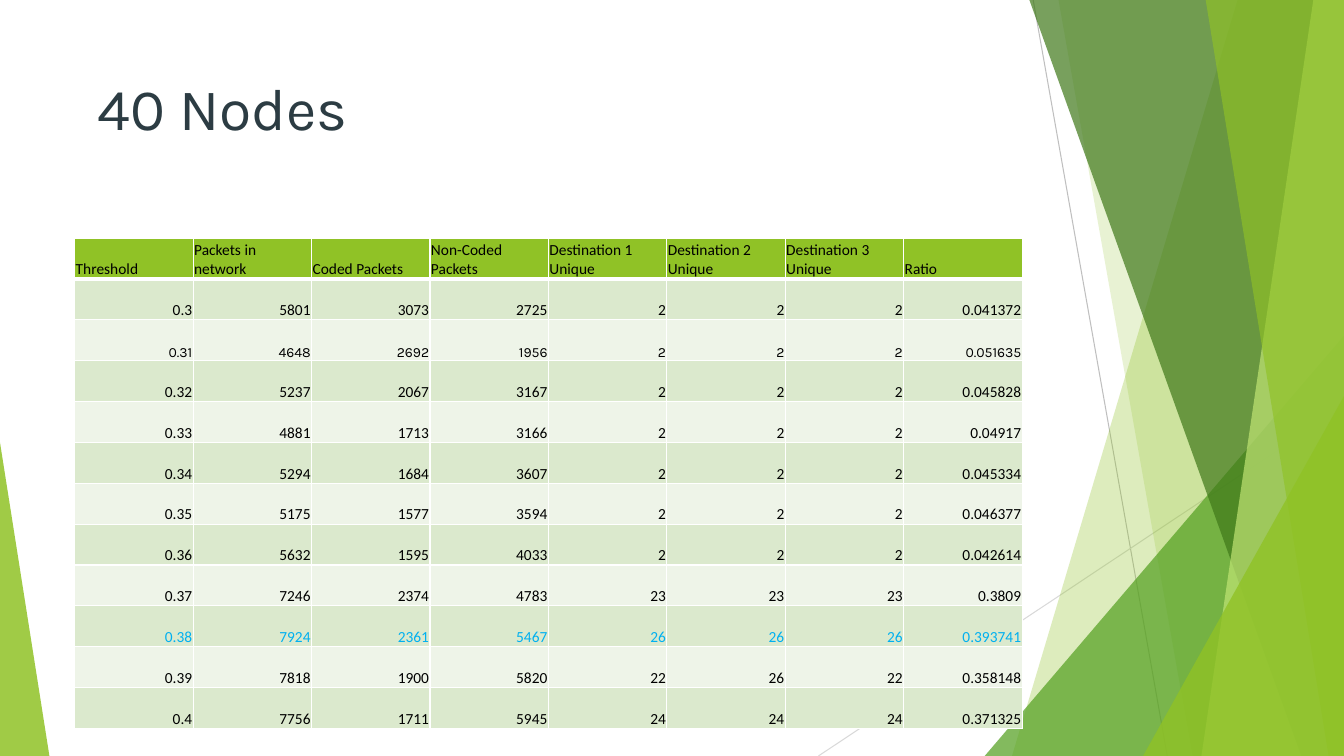
"""Build the "40 Nodes" results slide: a threshold table amid translucent green shards."""
from dataclasses import dataclass

from lxml.etree import SubElement
from pptx import Presentation
from pptx.dml.color import RGBColor
from pptx.enum.shapes import MSO_CONNECTOR as Connector, MSO_SHAPE as Preset
from pptx.enum.text import MSO_ANCHOR as Anchor, MSO_AUTO_SIZE as AutoSize, PP_ALIGN as Align
from pptx.oxml.ns import qn
from pptx.util import Pt

WIDTH, HEIGHT = 960, 540
LIME, WHITE, BLACK, SKY = "90C226", "FFFFFF", "000000", "00B0F0"
BAND_COLOURS = ("EEF4E8", "DBE9CD")
HIGHLIGHT_ROW, KARLA_ROW = 9, 2

HEADINGS = ("Threshold", "Packets in network", "Coded Packets", "Non-Coded Packets",
            "Destination 1 Unique", "Destination 2 Unique", "Destination 3 Unique", "Ratio")
RESULTS = """\
0.3 5801 3073 2725 2 2 2 0.041372
0.31 4648 2692 1956 2 2 2 0.051635
0.32 5237 2067 3167 2 2 2 0.045828
0.33 4881 1713 3166 2 2 2 0.04917
0.34 5294 1684 3607 2 2 2 0.045334
0.35 5175 1577 3594 2 2 2 0.046377
0.36 5632 1595 4033 2 2 2 0.042614
0.37 7246 2374 4783 23 23 23 0.3809
0.38 7924 2361 5467 26 26 26 0.393741
0.39 7818 1900 5820 22 26 22 0.358148
0.4 7756 1711 5945 24 24 24 0.371325"""


@dataclass
class Ray:
    top_x: float
    bottom_x: float
    colour: str
    opacity: int


@dataclass
class Corner:
    left: float
    top: float
    width: float
    apex: float
    colour: str
    opacity: int


@dataclass
class Hairline:
    start: tuple[float, float]
    end: tuple[float, float]
    colour: str


HAIRLINES = (Hairline((738, 0), (833.8, HEIGHT), "BFBFBF"),
             Hairline((WIDTH, 290.2), (584.6, HEIGHT), "D9D9D9"))
SHARDS = (
    Ray(884.2, 722.9, LIME, 30),
    Ray(756, 851.8, LIME, 20),
    Corner(703.4, 239.8, 256.6, 1, "54A021", 72),
    Ray(735.1, 929.5, "3F7819", 70),
    Ray(938.2, 858.2, "C0E474", 70),
    Ray(861.1, 949, LIME, 65),
    Corner(816.5, 283, 143.5, 1, LIME, 80),
    Corner(0, 316.1, 35.3, 0, LIME, 85),
)


def rgb(colour: str) -> RGBColor:
    return RGBColor.from_string(colour)


def draw_hairline(page, line: Hairline) -> None:
    connector = page.shapes.add_connector(
        Connector.STRAIGHT, *map(Pt, line.start), *map(Pt, line.end))
    connector.line.color.rgb = rgb(line.colour)
    connector.line.width = Pt(0.75)
    SubElement(connector.element.spPr, qn("a:effectLst"))


def draw_shard(page, shard: Ray | Corner) -> None:
    if isinstance(shard, Ray):
        builder = page.shapes.build_freeform(Pt(shard.top_x), Pt(-0.6))
        builder.add_line_segments([(Pt(WIDTH), Pt(-0.6)), (Pt(WIDTH), Pt(HEIGHT)),
                                   (Pt(shard.bottom_x), Pt(HEIGHT))], close=True)
        shape = builder.convert_to_shape()
    else:
        shape = page.shapes.add_shape(
            Preset.ISOSCELES_TRIANGLE, Pt(shard.left), Pt(shard.top),
            Pt(shard.width), Pt(HEIGHT - shard.top))
        shape.adjustments[0] = shard.apex
    shape.shadow.inherit = False
    shape.line.fill.background()
    shape.fill.solid()
    shape.fill.fore_color.rgb = rgb(shard.colour)
    colour = shape.element.spPr.find(qn("a:solidFill"))[0]
    SubElement(colour, qn("a:alpha"), val=str(shard.opacity * 1000))


def set_borders(cell, row: int) -> None:
    properties = cell._tc.get_or_add_tcPr()
    widths = {"L": 1, "R": 1, "T": 3 if row == 1 else 1, "B": 3 if row == 0 else 1}
    for side, width in widths.items():
        border = SubElement(properties, qn(f"a:ln{side}"), w=str(Pt(width)))
        fill = SubElement(border, qn("a:solidFill"))
        SubElement(fill, qn("a:srgbClr"), val=WHITE)


def fill_cell(cell, text: str, row: int) -> None:
    set_borders(cell, row)
    cell.fill.solid()
    cell.fill.fore_color.rgb = rgb(BAND_COLOURS[row % 2] if row else LIME)
    cell.margin_left = cell.margin_top = cell.margin_right = Pt(0.7)
    cell.margin_bottom = 0
    cell.vertical_anchor = Anchor.BOTTOM
    cell.text = text
    para = cell.text_frame.paragraphs[0]
    para.alignment = Align.RIGHT if row else Align.LEFT
    para.font.name = "Karla" if row == KARLA_ROW else "Calibri"
    para.font.size = Pt(10 if row == KARLA_ROW else 11)
    para.font.bold = False
    para.font.color.rgb = rgb(SKY if row == HIGHLIGHT_ROW else BLACK)


def draw_table(page) -> None:
    rows = [HEADINGS, *(line.split() for line in RESULTS.splitlines())]
    table = page.shapes.add_table(len(rows), len(HEADINGS), Pt(53.4), Pt(170),
                                  Pt(676.8), Pt(350.4)).table
    table.first_row = table.horz_banding = False
    for row, texts in enumerate(rows):
        for column, text in enumerate(texts):
            fill_cell(table.cell(row, column), text, row)


def place_title(page) -> None:
    title = page.shapes.title
    title.left, title.top, title.width, title.height = map(Pt, (62.6, 47.5, 740.9, 110.2))
    frame = title.text_frame
    frame.text = "40 Nodes"
    frame.word_wrap = True
    frame.auto_size = AutoSize.NONE
    frame.vertical_anchor = Anchor.TOP
    para = frame.paragraphs[0]
    para.alignment = Align.LEFT
    para.font.name = "Karla"
    para.font.size = Pt(42)
    para.font.color.rgb = rgb("2C3C43")
    title.element.getparent().append(title.element)


def main() -> None:
    deck = Presentation()
    deck.slide_width, deck.slide_height = Pt(WIDTH), Pt(HEIGHT)
    page = deck.slides.add_slide(deck.slide_layouts[5])
    for line in HAIRLINES:
        draw_hairline(page, line)
    for shard in SHARDS:
        draw_shard(page, shard)
    draw_table(page)
    place_title(page)
    deck.save("out.pptx")


if __name__ == "__main__":
    main()
